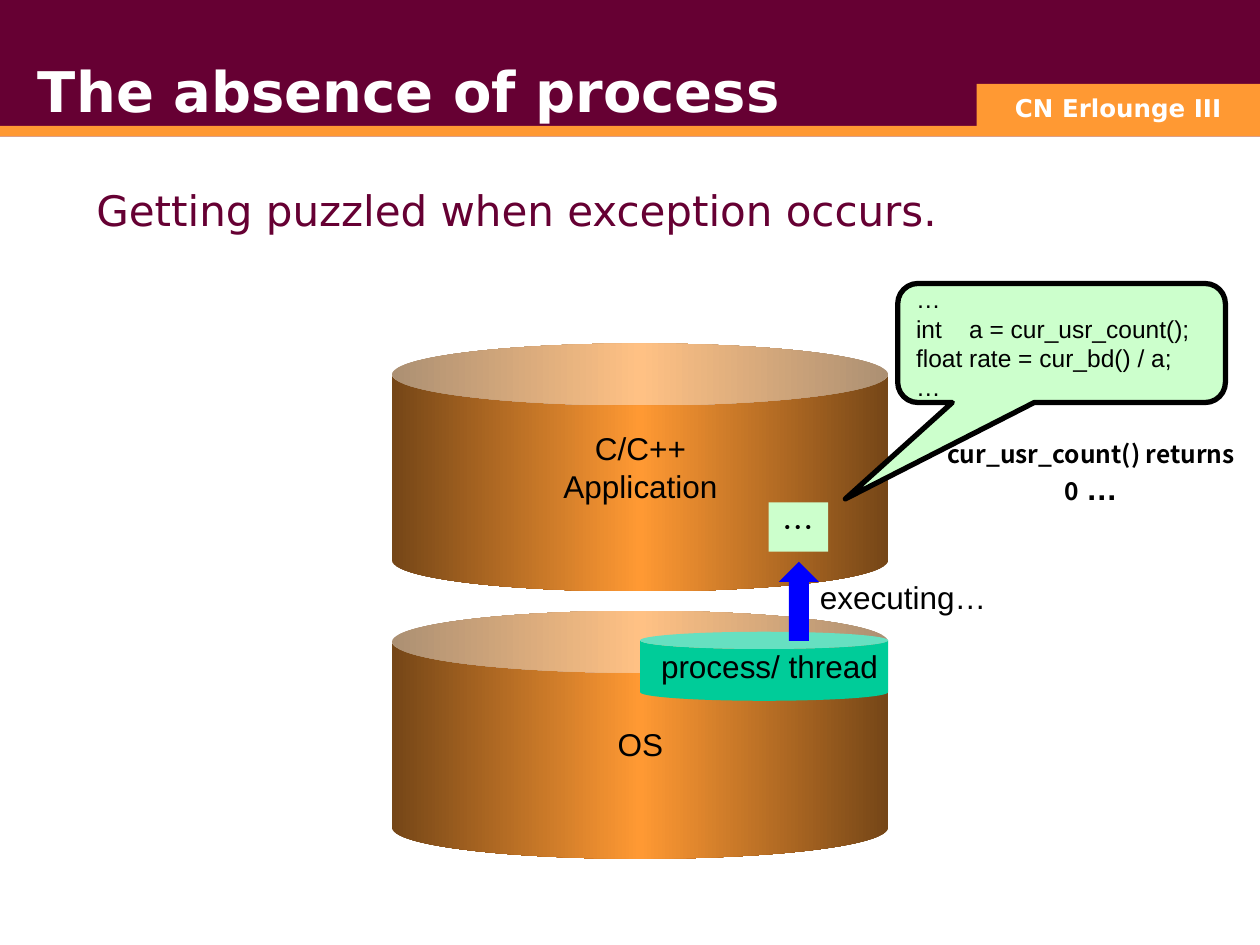
from copy import deepcopy

from pptx import Presentation
from pptx.dml.color import RGBColor
from pptx.enum.shapes import MSO_SHAPE
from pptx.enum.text import MSO_ANCHOR, MSO_AUTO_SIZE, PP_ALIGN
from pptx.oxml.ns import qn
from pptx.util import Pt

MAROON = RGBColor(0x66, 0x00, 0x33)
ORANGE = RGBColor(0xFF, 0x99, 0x33)
BROWN = RGBColor(0x75, 0x46, 0x17)
TEAL = RGBColor(0x00, 0xCC, 0x99)
MINT = RGBColor(0xCC, 0xFF, 0xCC)
BLUE = RGBColor(0x00, 0x00, 0xFF)
BLACK = RGBColor(0x00, 0x00, 0x00)
WHITE = RGBColor(0xFF, 0xFF, 0xFF)

HEADING_FONT = "DejaVu Sans"
LABEL_FONT = "Arial"
NOTE_FONT = "Noto Sans CJK KR"

CAN_LEFT, CAN_WIDTH, CAN_HEIGHT = 224, 283.5, 141.75
CAN_LABEL_LEFT, CAN_LABEL_WIDTH = 292, 148


def add_filled(slide, kind, left, top, width, height, color=None):
    shape = slide.shapes.add_shape(kind, Pt(left), Pt(top), Pt(width), Pt(height))
    shape.shadow.inherit = False
    shape.line.fill.background()
    if color is not None:
        shape.fill.solid()
        shape.fill.fore_color.rgb = color
    return shape


def add_gradient_can(slide, top):
    """Add a large can that is bright in the middle and dark at both sides."""
    can = add_filled(slide, MSO_SHAPE.CAN, CAN_LEFT, top, CAN_WIDTH, CAN_HEIGHT)
    can.fill.gradient()
    can.fill.gradient_angle = 0
    stop_list = can.element.spPr.find(".//" + qn("a:gsLst"))
    stop_list.append(deepcopy(stop_list[0]))
    stops = zip(can.fill.gradient_stops, (0, 0.5, 1), (BROWN, ORANGE, BROWN))
    for stop, position, color in stops:
        stop.position = position
        stop.color.rgb = color


def write_lines(shape, lines, size, font=LABEL_FONT, color=BLACK, bold=False,
                align=PP_ALIGN.CENTER, anchor=MSO_ANCHOR.TOP, wrap=True):
    """Fill the shape with one paragraph for each line."""
    frame = shape.text_frame
    frame.word_wrap = wrap
    frame.auto_size = MSO_AUTO_SIZE.NONE
    frame.vertical_anchor = anchor
    frame.text = "\n".join(lines)
    for paragraph in frame.paragraphs:
        paragraph.alignment = align
        paragraph.font.name = font
        paragraph.font.size = Pt(size)
        paragraph.font.bold = bold
        paragraph.font.color.rgb = color


def add_label(slide, text, left, top, width, height, size=18, **style):
    box = slide.shapes.add_textbox(Pt(left), Pt(top), Pt(width), Pt(height))
    write_lines(box, [text], size, **style)
    return box


def add_header(slide):
    add_filled(slide, MSO_SHAPE.RECTANGLE, 0, 0, 720, 78, MAROON)
    add_filled(slide, MSO_SHAPE.RECTANGLE, 0, 72, 720, 6, ORANGE)
    add_filled(slide, MSO_SHAPE.RECTANGLE, 558, 48, 162, 24, ORANGE)
    add_label(slide, "CN Erlounge III", 564, 49.75, 150, 22, size=14,
              font=HEADING_FONT, color=WHITE, bold=True)

    title = slide.shapes.title
    title.left, title.top, title.width, title.height = Pt(14.5), Pt(24), Pt(628), Pt(54.5)
    write_lines(title, ["The absence of process"], 32, font=HEADING_FONT, color=WHITE,
                bold=True, align=PP_ALIGN.LEFT, anchor=MSO_ANCHOR.MIDDLE)
    # Bring the title in front of the header bands
    title.element.getparent().append(title.element)


def add_system(slide):
    add_gradient_can(slide, 349)
    add_filled(slide, MSO_SHAPE.CAN, 365.75, 361, CAN_WIDTH / 2, 39.5, TEAL)
    add_label(slide, "process/ thread", 365.75, 366, CAN_LABEL_WIDTH, 29)
    add_label(slide, "OS", CAN_LABEL_LEFT, 411, CAN_LABEL_WIDTH, 29)

    add_gradient_can(slide, 196.25)
    add_label(slide, "C/C++ Application", CAN_LABEL_LEFT, 241.75, CAN_LABEL_WIDTH, 50.5)


def add_code_callout(slide):
    callout = add_filled(slide, MSO_SHAPE.ROUNDED_RECTANGULAR_CALLOUT,
                         513, 162, 187.25, 68, MINT)
    for index, value in enumerate((-0.66, 1.31, 0.17)):
        callout.adjustments[index] = value
    callout.line.color.rgb = BLACK
    callout.line.width = Pt(3)
    code = ["…", "int    a = cur_usr_count();", "float rate = cur_bd() / a;", "…"]
    write_lines(callout, code, 14, align=PP_ALIGN.LEFT, anchor=MSO_ANCHOR.MIDDLE)


def add_execution(slide):
    add_filled(slide, MSO_SHAPE.UP_ARROW, 445, 321, 23, 45.25, BLUE)
    add_label(slide, "executing…", 456.5, 327, 119, 29)
    code_block = add_filled(slide, MSO_SHAPE.RECTANGLE, 439.25, 287, 34, 28.25, MINT)
    write_lines(code_block, ["…"], 18, font=NOTE_FONT,
                anchor=MSO_ANCHOR.MIDDLE, wrap=False)


def add_return_note(slide):
    note = add_label(slide, "cur_usr_count() returns 0", 530, 247.5, 187, 46,
                     size=14, font=NOTE_FONT, bold=True)
    paragraph = note.text_frame.paragraphs[0]
    for text, font in ((" ", NOTE_FONT), ("…", LABEL_FONT)):
        run = paragraph.add_run()
        run.text = text
        run.font.name = font
        run.font.size = Pt(18)


def main():
    presentation = Presentation()
    presentation.slide_width, presentation.slide_height = Pt(720), Pt(540)
    slide = presentation.slides.add_slide(presentation.slide_layouts[5])
    add_header(slide)
    add_label(slide, "Getting puzzled when exception occurs.", 48, 102, 636, 384,
              size=24, font=HEADING_FONT, color=MAROON, align=PP_ALIGN.LEFT)
    add_system(slide)
    add_code_callout(slide)
    add_execution(slide)
    add_return_note(slide)
    presentation.save("out.pptx")


if __name__ == "__main__":
    main()
